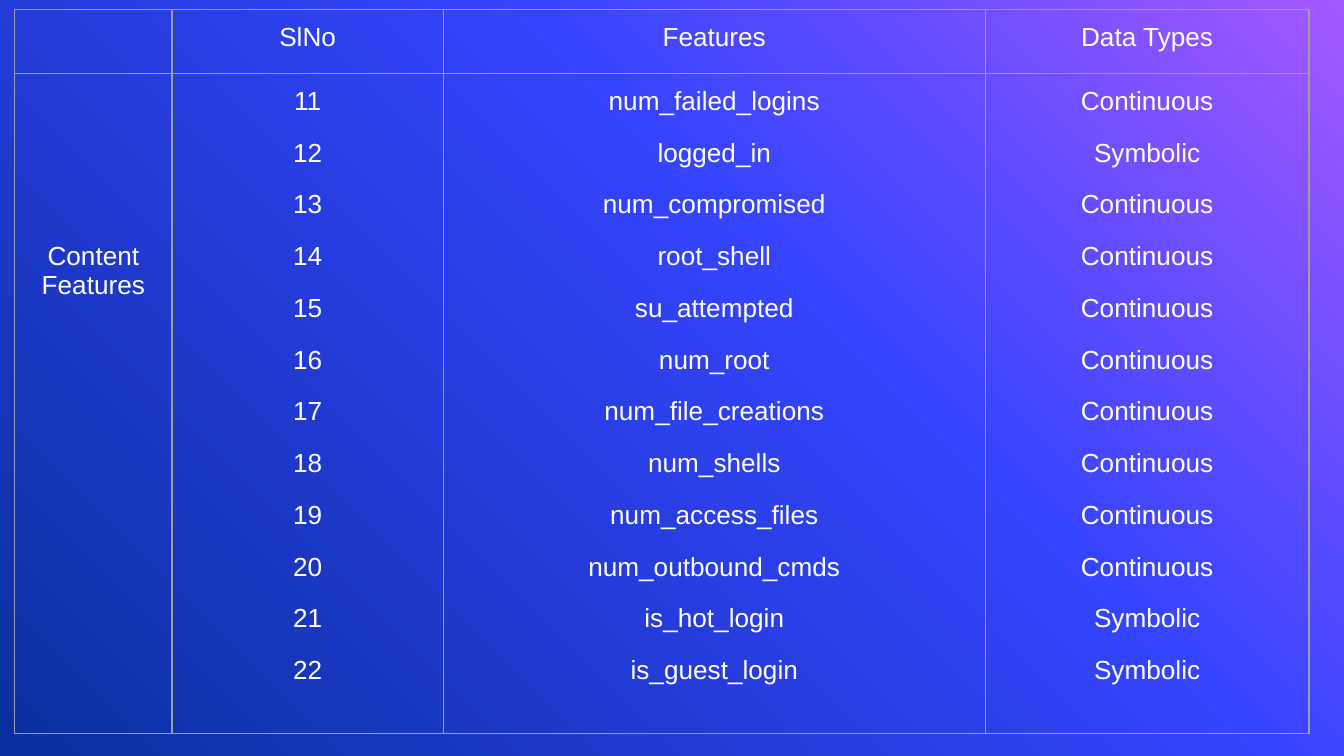
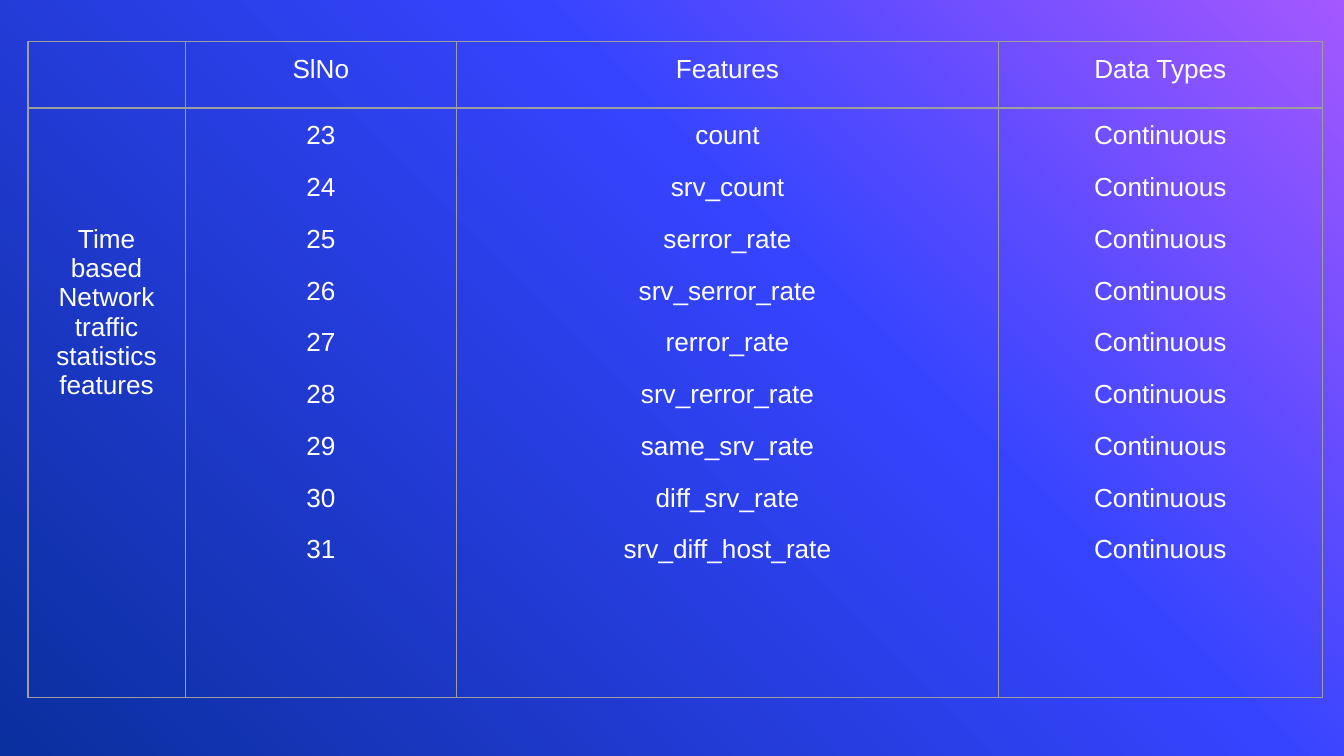
"""Build two slides of tables listing data set features and their types."""
from copy import deepcopy

from lxml.etree import SubElement
from pptx import Presentation
from pptx.dml.color import RGBColor
from pptx.enum.text import PP_ALIGN
from pptx.oxml.ns import qn
from pptx.util import Cm, Pt

COLORS = {"violet": "A458FF", "blue": "3544FF", "navy": "0A2F9E",
          "border": "9E9E9E", "text": "FFFFFF"}
GRADIENT = [(0, "violet"), (0.39, "blue"), (1, "navy")]
FONT, SIZE = "Arial", 14
HEADERS = ["", "SlNo", "Features", "Data Types"]
COL_WIDTHS = [2.97, 5.13, 10.24, 6.12]
INSET = 0.25

TABLES = [
    {
        "group": "Content Features",
        "left": 0.28, "top": 0.18, "rows": [1.21, 12.47], "group_inset": 3.18,
        "first": 11,
        "features": [
            ("num_failed_logins", "Continuous"),
            ("logged_in", "Symbolic"),
            ("num_compromised", "Continuous"),
            ("root_shell", "Continuous"),
            ("su_attempted", "Continuous"),
            ("num_root", "Continuous"),
            ("num_file_creations", "Continuous"),
            ("num_shells", "Continuous"),
            ("num_access_files", "Continuous"),
            ("num_outbound_cmds", "Continuous"),
            ("is_hot_login", "Symbolic"),
            ("is_guest_login", "Symbolic"),
        ],
    },
    {
        "group": "Time based Network traffic statistics features",
        "left": 0.53, "top": 0.79, "rows": [1.25, 11.15], "group_inset": 2.2,
        "first": 23,
        "features": [
            ("count", "Continuous"),
            ("srv_count", "Continuous"),
            ("serror_rate", "Continuous"),
            ("srv_serror_rate", "Continuous"),
            ("rerror_rate", "Continuous"),
            ("srv_rerror_rate", "Continuous"),
            ("same_srv_rate", "Continuous"),
            ("diff_srv_rate", "Continuous"),
            ("srv_diff_host_rate", "Continuous"),
        ],
    },
]


def rgb(name):
    return RGBColor.from_string(COLORS[name])


def set_background(master):
    fill = master.background.fill
    fill.gradient()
    fill.gradient_angle = 225
    stops = master.element.xpath(".//p:bg//a:gsLst")[0]
    stops.append(deepcopy(stops[-1]))
    for stop, (position, name) in zip(fill.gradient_stops, GRADIENT):
        stop.position = position
        stop.color.rgb = rgb(name)


def add_borders(cell):
    tcPr = cell._tc.get_or_add_tcPr()
    for side in ("lnL", "lnR", "lnT", "lnB"):
        ln = SubElement(tcPr, qn(f"a:{side}"), w=str(Pt(0.75)))
        fill = SubElement(ln, qn("a:solidFill"))
        SubElement(fill, qn("a:srgbClr"), val=COLORS["border"])


def fill_cell(cell, lines, top=INSET):
    add_borders(cell)
    cell.fill.background()
    cell.margin_left = cell.margin_right = cell.margin_bottom = Cm(INSET)
    cell.margin_top = Cm(top)
    tf = cell.text_frame
    tf.text = "\n".join(lines)
    for i, p in enumerate(tf.paragraphs):
        p.alignment = PP_ALIGN.CENTER
        p.space_before = Pt(12 if i else 0)
        p.font.name, p.font.size = FONT, Pt(SIZE)
        p.font.color.rgb = rgb("text")


def add_feature_table(s, data):
    table = s.shapes.add_table(2, len(HEADERS), Cm(data["left"]), Cm(data["top"]),
                               Cm(sum(COL_WIDTHS)), Cm(sum(data["rows"]))).table
    table.first_row = table.horz_banding = False
    for row, height in zip(table.rows, data["rows"]):
        row.height = Cm(height)
    names, types = zip(*data["features"])
    numbers = [str(data["first"] + i) for i in range(len(names))]
    body = [[data["group"]], numbers, names, types]
    for col, (width, header, lines) in enumerate(zip(COL_WIDTHS, HEADERS, body)):
        table.columns[col].width = Cm(width)
        fill_cell(table.cell(0, col), [header])
        fill_cell(table.cell(1, col), lines, INSET if col else data["group_inset"])


def main():
    prs = Presentation()
    prs.slide_width, prs.slide_height = Cm(25.4), Cm(14.29)
    set_background(prs.slide_master)
    for data in TABLES:
        add_feature_table(prs.slides.add_slide(prs.slide_layouts[6]), data)
    prs.save("out.pptx")


if __name__ == "__main__":
    main()
